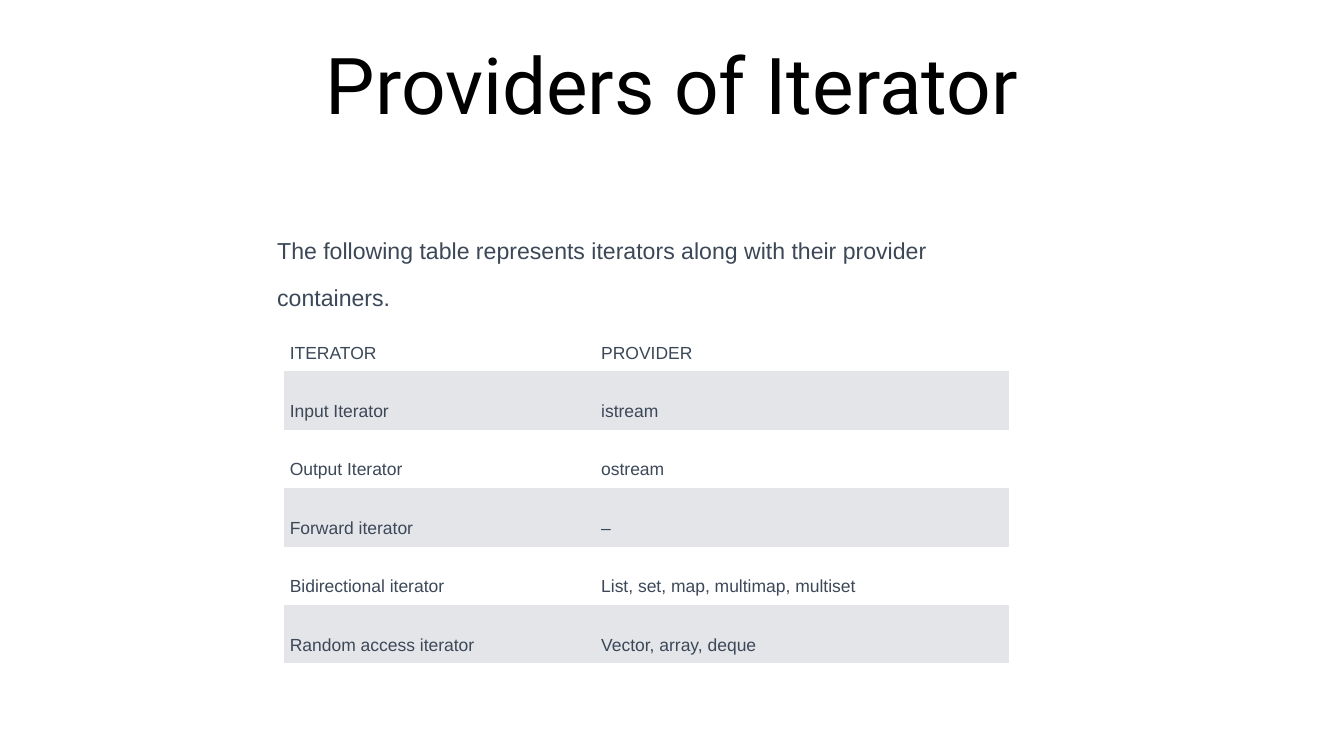
from dataclasses import dataclass

from pptx import Presentation
from pptx.dml.color import RGBColor
from pptx.enum.text import MSO_ANCHOR, PP_ALIGN
from pptx.slide import Slide
from pptx.text.text import TextFrame
from pptx.util import Inches, Length, Pt

MIDDLE = MSO_ANCHOR.MIDDLE
CENTER = PP_ALIGN.CENTER
LEFT = PP_ALIGN.LEFT

SLIDE_WIDTH, SLIDE_HEIGHT = 26.67, 15
GRID_STEPS = 100
BLANK_LAYOUT = 6
PLAIN_TABLE_STYLE = "{2D5ABB26-0587-4C30-8999-92F81FD0307C}"

BLACK, SLATE = "000000", "3C4858"
BAND_FILLS = ("FFFFFF", "E3E5E8")
BOX_INSET = 0.06
CELL_INSET_X, CELL_INSET_Y = 0.11, 0.17
COLUMN_SPANS = (23.17, 30.75)
ROW_SPAN = 7.2


@dataclass(frozen=True)
class Area:
    column: float
    row: float
    columns: float
    rows: float


@dataclass(frozen=True)
class Provision:
    iterator: str
    provider: str


TITLE_AREA = Area(6.94, 2.6, 86.13, 16.67)
INTRO_AREA = Area(20.4, 28.2, 57.37, 13.4)

PROVISIONS = (
    Provision("ITERATOR", "PROVIDER"),
    Provision("Input Iterator", "istream"),
    Provision("Output Iterator", "ostream"),
    Provision("Forward iterator", "–"),
    Provision("Bidirectional iterator", "List, set, map, multimap, multiset"),
    Provision("Random access iterator", "Vector, array, deque"),
)
TABLE_AREA = Area(21.15, 41.4, sum(COLUMN_SPANS), ROW_SPAN * len(PROVISIONS))


def across(columns: float) -> Length:
    return Inches(SLIDE_WIDTH * columns / GRID_STEPS)


def down(rows: float) -> Length:
    return Inches(SLIDE_HEIGHT * rows / GRID_STEPS)


def bounds(area: Area) -> tuple[Length, Length, Length, Length]:
    return across(area.column), down(area.row), across(area.columns), down(area.rows)


def color(value: str) -> RGBColor:
    return RGBColor.from_string(value)


def write(frame: TextFrame, text: str, *, size: float, font: str = "Arial",
          ink: str = SLATE, align: PP_ALIGN = LEFT,
          line_height: float | None = None) -> None:
    paragraph = frame.paragraphs[0]
    paragraph.alignment = align
    if line_height is not None:
        paragraph.line_spacing = Pt(line_height)
    run = paragraph.add_run()
    run.text = text
    run.font.size = Pt(size)
    run.font.name = font
    run.font.color.rgb = color(ink)


def add_text_area(slide: Slide, area: Area) -> TextFrame:
    frame = slide.shapes.add_textbox(*bounds(area)).text_frame
    frame.word_wrap = True
    frame.vertical_anchor = MIDDLE
    frame.margin_left = frame.margin_right = Inches(BOX_INSET)
    frame.margin_top = frame.margin_bottom = Inches(BOX_INSET)
    return frame


def add_provider_table(slide: Slide, area: Area) -> None:
    table = slide.shapes.add_table(
        len(PROVISIONS), len(COLUMN_SPANS), *bounds(area)).table
    table.first_row = False
    table.horz_banding = False
    table._tbl.tblPr[0].text = PLAIN_TABLE_STYLE
    for column, span in zip(table.columns, COLUMN_SPANS):
        column.width = across(span)
    for index, (row, provision) in enumerate(zip(table.rows, PROVISIONS)):
        row.height = down(ROW_SPAN)
        labels = (provision.iterator, provision.provider)
        for cell, label in zip(row.cells, labels):
            cell.fill.solid()
            cell.fill.fore_color.rgb = color(BAND_FILLS[index % 2])
            cell.vertical_anchor = MIDDLE
            cell.margin_left = cell.margin_right = Inches(CELL_INSET_X)
            cell.margin_top = cell.margin_bottom = Inches(CELL_INSET_Y)
            write(cell.text_frame, label, size=25, line_height=59)


def main() -> None:
    deck = Presentation()
    deck.slide_width = Inches(SLIDE_WIDTH)
    deck.slide_height = Inches(SLIDE_HEIGHT)
    slide = deck.slides.add_slide(deck.slide_layouts[BLANK_LAYOUT])
    write(add_text_area(slide, TITLE_AREA), "Providers of Iterator",
          size=112, font="Roboto", ink=BLACK, align=CENTER)
    add_provider_table(slide, TABLE_AREA)
    write(add_text_area(slide, INTRO_AREA),
          "The following table represents iterators along with their provider containers.",
          size=33, line_height=68)
    deck.save("out.pptx")


if __name__ == "__main__":
    main()
